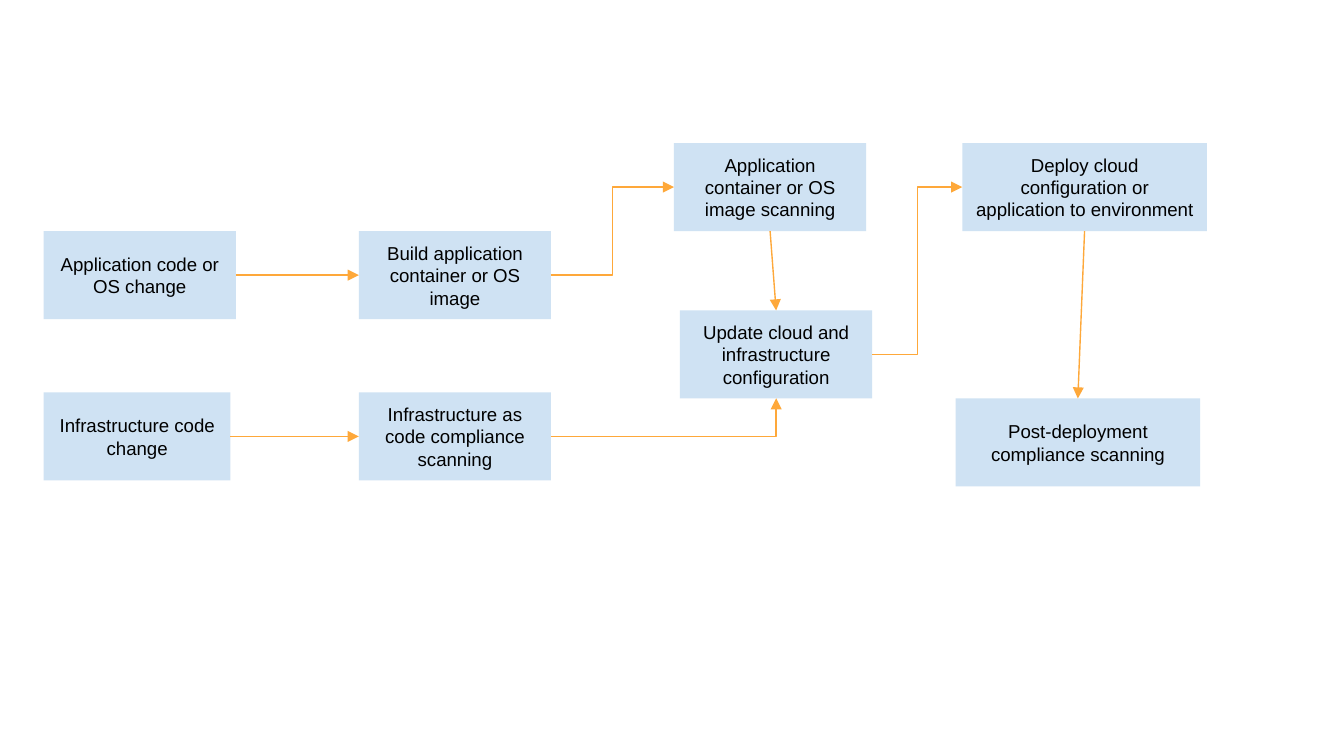
import pptx
import pptx.dml.color
import pptx.enum.shapes
import pptx.enum.text
import pptx.oxml
import pptx.oxml.ns
import pptx.util

PX = 4572  # EMU per px, 200 px to the inch
BLUE = pptx.dml.color.RGBColor(0xCF, 0xE2, 0xF3)
ORANGE = pptx.dml.color.RGBColor(0xFE, 0xA8, 0x3A)
BLACK = pptx.dml.color.RGBColor(0, 0, 0)

TOP, LEFT, BOTTOM, RIGHT = range(4)
HIGH = 131
FRAME = {
    "word_wrap": True,
    "vertical_anchor": pptx.enum.text.MSO_ANCHOR.MIDDLE,
    **{f"margin_{side}": 20 * PX for side in ("left", "top", "right", "bottom")},
}
FONT = {"name": "Arial", "size": pptx.util.Pt(10)}

# name: (left, top, width, text)
STEPS = {
    "app": (65, 344, 286, "Application code or OS change"),
    "infra": (65, 584, 278, "Infrastructure code change"),
    "build": (534, 344, 286, "Build application container or OS image"),
    "check": (534, 584, 286, "Infrastructure as code compliance scanning"),
    "scan": (1003, 213, 286, "Application container or OS image scanning"),
    "update": (1012, 462, 286, "Update cloud and infrastructure configuration"),
    "deploy": (1432, 213, 364,
               "Deploy cloud configuration or application to environment"),
    "post": (1422, 593, 364, "Post-deployment compliance scanning"),
}
# from, side, to, side, preset
LINKS = [
    ("app", RIGHT, "build", LEFT, "line"),
    ("infra", RIGHT, "check", LEFT, "line"),
    ("build", RIGHT, "scan", LEFT, "bentConnector3"),
    ("check", RIGHT, "update", BOTTOM, "bentConnector2"),
    ("scan", BOTTOM, "update", TOP, "line"),
    ("update", RIGHT, "deploy", LEFT, "bentConnector3"),
    ("deploy", BOTTOM, "post", TOP, "line"),
]


def put(item, values):
    for name, value in values.items():
        setattr(item, name, value)


def add_step(slide, box, text):
    shape = slide.shapes.add_shape(
        pptx.enum.shapes.MSO_SHAPE.RECTANGLE, *(n * PX for n in box))
    shape.shadow.inherit = False
    shape.fill.solid()
    shape.fill.fore_color.rgb = BLUE
    shape.line.fill.background()
    put(shape.text_frame, FRAME)
    par = shape.text_frame.paragraphs[0]
    par.alignment = pptx.enum.text.PP_ALIGN.CENTER
    run = par.add_run()
    run.text = text
    put(run.font, FONT)
    run.font.color.rgb = BLACK
    return shape


def add_link(slide, start, out, end, into, preset):
    """Join two steps with an arrow that ends at the second."""
    kinds = pptx.enum.shapes.MSO_CONNECTOR
    kind = kinds.STRAIGHT if preset == "line" else kinds.ELBOW
    link = slide.shapes.add_connector(kind, 0, 0, 0, 0)
    link.begin_connect(start, out)
    link.end_connect(end, into)
    link.line.color.rgb = ORANGE
    link.line.width = pptx.util.Pt(0.75)
    props = link._element.spPr
    props.find(pptx.oxml.ns.qn("a:prstGeom")).set("prst", preset)
    head = pptx.oxml.parse_xml(
        f'<a:tailEnd {pptx.oxml.ns.nsdecls("a")} type="triangle"/>')
    props.find(pptx.oxml.ns.qn("a:ln")).append(head)
    props.append(pptx.oxml.parse_xml(
        f'<a:effectLst {pptx.oxml.ns.nsdecls("a")}/>'))


def add_flow(slide, box):
    """Place the steps and their links relative to the box."""
    left, top = box[:2]
    steps = {
        name: add_step(slide, (left + x, top + y, wide, HIGH), text)
        for name, (x, y, wide, text) in STEPS.items()
    }
    for start, out, end, into, preset in LINKS:
        add_link(slide, steps[start], out, steps[end], into, preset)


def main():
    deck = pptx.Presentation()
    wide, high = 2000, 1125
    put(deck, {"slide_width": wide * PX, "slide_height": high * PX})
    slide = deck.slides.add_slide(deck.slide_layouts[6])
    add_flow(slide, (0, 0, wide, high))
    deck.save("out.pptx")


if __name__ == "__main__":
    main()
